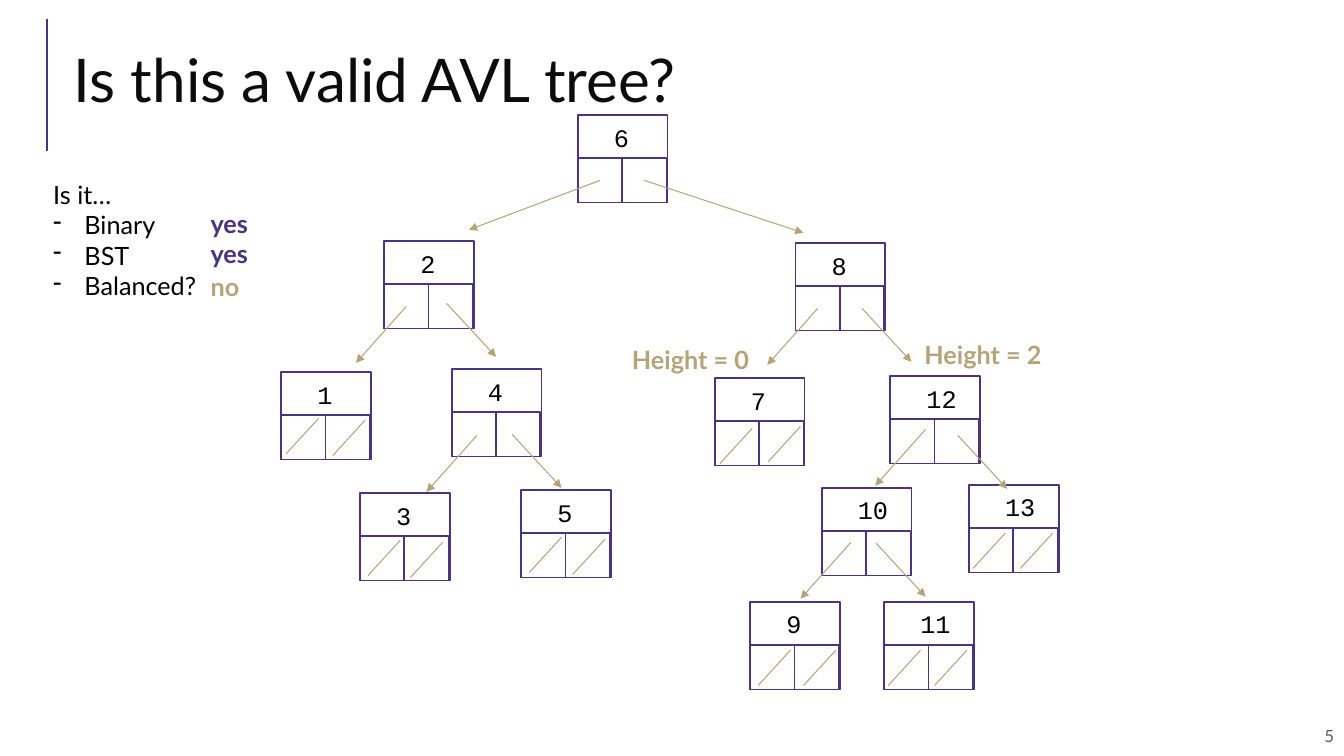
from lxml.etree import SubElement
from pptx import Presentation
from pptx.dml.color import RGBColor
from pptx.enum.shapes import MSO_CONNECTOR, MSO_SHAPE
from pptx.enum.text import MSO_ANCHOR, PP_ALIGN
from pptx.oxml.ns import qn
from pptx.util import Inches, Pt

PURPLE = RGBColor(0x4C, 0x32, 0x82)
GOLD = RGBColor(0xB6, 0xA4, 0x79)
BLACK = RGBColor(0x00, 0x00, 0x00)
TITLE_COLOR = RGBColor(0x0C, 0x0C, 0x0C)
GRAY = RGBColor(0x59, 0x59, 0x59)

NODE_WIDTH, NODE_HEIGHT, CELL = 0.89, 0.87, 0.44
LEFT_CHILD, RIGHT_CHILD, EMPTY_CHILD = (-0.5, 0.56), (0.49, 0.53), (-0.32, 0.35)

NODES = [
    ("6", 5.73, 1.14), ("2", 3.81, 2.39), ("8", 7.89, 2.41),
    ("1", 2.79, 3.69), ("7", 7.09, 3.75), ("12", 8.83, 3.73),
    ("4", 4.48, 3.66), ("9", 7.44, 5.97), ("10", 8.15, 4.84),
    ("13", 9.61, 4.81), ("11", 8.77, 5.97), ("3", 3.57, 4.89),
    ("5", 5.17, 4.86),
]
ROOT_ARROWS = [((5.95, 1.79), (4.65, 2.28)), ((6.39, 1.79), (7.97, 2.31))]
LEFT_STARTS = [(4.03, 3.04), (8.11, 3.06), (8.44, 5.38), (4.73, 4.32), (9.18, 4.26)]
RIGHT_STARTS = [(8.55, 3.06), (4.43, 3.01), (5.08, 4.31), (9.5, 4.32), (8.69, 5.39)]
EMPTY_STARTS = [
    (3.16, 4.15), (3.62, 4.17), (7.46, 4.25), (7.94, 4.23),
    (7.84, 6.45), (8.29, 6.45), (9.97, 5.29), (10.44, 5.29),
    (9.13, 6.45), (9.59, 6.45), (3.97, 5.36), (4.39, 5.38),
    (5.57, 5.33), (6, 5.35),
]
LABELS = [
    ("yes", 1.99, 2.02, 0.7, PURPLE), ("yes", 1.99, 2.32, 0.7, PURPLE),
    ("no", 1.99, 2.64, 0.7, GOLD),
    ("Height = 2", 9.07, 3.32, 1.47, GOLD), ("Height = 0", 6.17, 3.37, 1.47, GOLD),
]


def write_text(frame, text, font="Lato", size=18, color=BLACK, bold=False,
               align=PP_ALIGN.LEFT, anchor=MSO_ANCHOR.TOP, wrap=True,
               spacing=1.0, bullet=None):
    frame.word_wrap = wrap
    frame.vertical_anchor = anchor
    frame.margin_left = frame.margin_right = Inches(0.1)
    frame.margin_top = frame.margin_bottom = Inches(0.05)
    for index, line in enumerate(text.split("\n")):
        paragraph = frame.add_paragraph() if index else frame.paragraphs[0]
        paragraph.text = line
        paragraph.alignment = align
        paragraph.line_spacing = spacing
        if bullet and index:
            properties = paragraph._p.get_or_add_pPr()
            properties.set("marL", str(Inches(0.31)))
            properties.set("indent", str(Inches(-0.31)))
            SubElement(properties, qn("a:buChar")).set("char", bullet)
        paragraph.font.name = font
        paragraph.font.size = Pt(size)
        paragraph.font.bold = bold
        paragraph.font.color.rgb = color


class TreeSlide:
    def __init__(self, slide):
        self.slide = slide

    def title(self, text, left, top, width, height):
        shape = self.slide.shapes.title
        shape.left, shape.top = Inches(left), Inches(top)
        shape.width, shape.height = Inches(width), Inches(height)
        write_text(shape.text_frame, text, size=43, color=TITLE_COLOR,
                   anchor=MSO_ANCHOR.MIDDLE, spacing=0.8)

    def text(self, text, left, top, width, height=0.4, shapes=None, **style):
        shapes = shapes or self.slide.shapes
        box = shapes.add_textbox(Inches(left), Inches(top), Inches(width), Inches(height))
        write_text(box.text_frame, text, **style)

    def line(self, start, end, color=GOLD, width=0.75, arrow=False):
        connector = self.slide.shapes.add_connector(
            MSO_CONNECTOR.STRAIGHT, *(Inches(value) for value in (*start, *end)))
        connector.line.color.rgb = color
        connector.line.width = Pt(width)
        if arrow:
            SubElement(connector.line._get_or_add_ln(), qn("a:tailEnd")).set("type", "triangle")
        SubElement(connector._element.spPr, qn("a:effectLst"))

    def pointers(self, starts, offset, arrow):
        for x, y in starts:
            self.line((x, y), (x + offset[0], y + offset[1]), arrow=arrow)

    def rectangle(self, shapes, left, top, width, height):
        shape = shapes.add_shape(MSO_SHAPE.RECTANGLE, Inches(left), Inches(top),
                                 Inches(width), Inches(height))
        shape.shadow.inherit = False
        shape.fill.background()
        shape.line.color.rgb = PURPLE
        shape.line.width = Pt(1.25)

    def node(self, key, left, top):
        shapes = self.slide.shapes.add_group_shape().shapes
        self.rectangle(shapes, left, top, NODE_WIDTH, NODE_HEIGHT)
        for column in range(2):
            self.rectangle(shapes, left + column * CELL, top + NODE_HEIGHT - CELL, CELL, CELL)
        self.text(key, left + 0.26, top + 0.02, 0.2 + 0.15 * len(key),
                  shapes=shapes, font="Courier New", wrap=False)


def main():
    presentation = Presentation()
    presentation.slide_width, presentation.slide_height = Inches(13.33), Inches(7.5)
    tree = TreeSlide(presentation.slides.add_slide(presentation.slide_layouts[5]))
    tree.line((0.47, 1.5), (0.47, 0.19), color=PURPLE, width=1.5)
    tree.text("5", 8.65, 7.1, 4.68, size=12, color=GRAY,
              align=PP_ALIGN.RIGHT, anchor=MSO_ANCHOR.MIDDLE)
    tree.title("Is this a valid AVL tree?", 0.63, 0.29, 12.23, 1.11)
    for key, left, top in NODES:
        tree.node(key, left, top)
    for start, end in ROOT_ARROWS:
        tree.line(start, end, arrow=True)
    tree.pointers(LEFT_STARTS, LEFT_CHILD, arrow=True)
    tree.pointers(RIGHT_STARTS, RIGHT_CHILD, arrow=True)
    tree.pointers(EMPTY_STARTS, EMPTY_CHILD, arrow=False)
    tree.text("Is it…\nBinary\nBST\nBalanced?", 0.43, 1.73, 1.63, 1.31, bullet="-")
    for text, left, top, width, color in LABELS:
        tree.text(text, left, top, width, color=color, bold=True)
    presentation.save("out.pptx")


if __name__ == "__main__":
    main()
